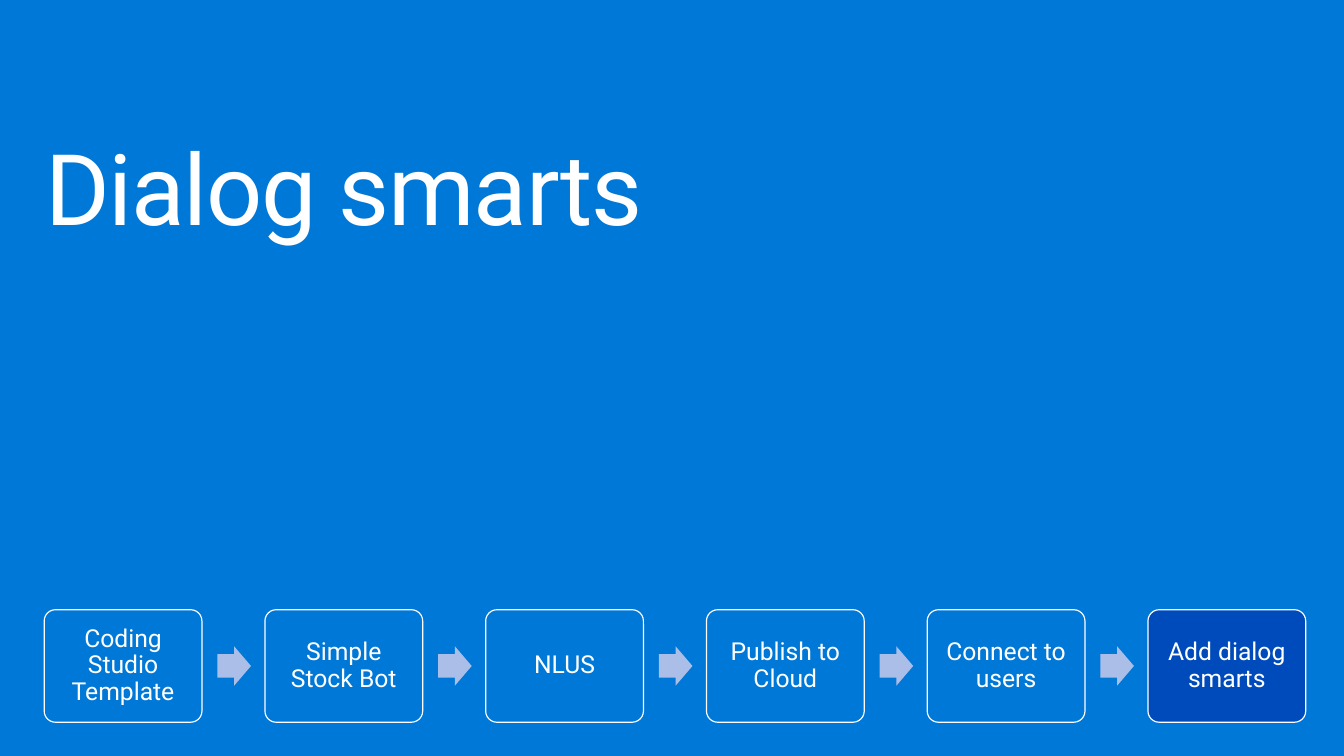
import pptx
import pptx.dml.color
import pptx.enum.shapes
import pptx.enum.text
import pptx.util

Pt = pptx.util.Pt
MSO_SHAPE = pptx.enum.shapes.MSO_SHAPE
PP_ALIGN = pptx.enum.text.PP_ALIGN
MSO_ANCHOR = pptx.enum.text.MSO_ANCHOR

COLORS = {
    "background": "0078D7",
    "current": "004BBC",
    "arrow": "ABBEE8",
    "white": "FFFFFF",
}
FONT = "Roboto"
STEPS = [
    "Coding Studio Template",
    "Simple\nStock Bot",
    "NLUS",
    "Publish to Cloud",
    "Connect to users",
    "Add dialog smarts",
]
STEP_LEFT, STEP_TOP, STEP_PITCH = 32.2, 444.4, 160.9
STEP_WIDTH, STEP_HEIGHT = 115, 82
ARROW_OFFSET, ARROW_WIDTH, ARROW_HEIGHT = 126.3, 24.4, 28.6


def color(name):
    return pptx.dml.color.RGBColor.from_string(COLORS[name])


def write_text(shape, text, size, align, anchor, inset, spacing=None):
    """Fill a shape with one paragraph; inset is (horizontal, vertical)."""
    frame = shape.text_frame
    frame.word_wrap = True
    frame.vertical_anchor = anchor
    frame.margin_left = frame.margin_right = Pt(inset[0])
    frame.margin_top = frame.margin_bottom = Pt(inset[1])
    paragraph = frame.paragraphs[0]
    paragraph.text = text
    paragraph.alignment = align
    paragraph.line_spacing = 0.9
    for run in paragraph.runs:
        run.font.name = FONT
        run.font.size = Pt(size)
        run.font.color.rgb = color("white")
        if spacing is not None:
            run._r.get_or_add_rPr().set("spc", str(spacing * 100))


def add_box(slide, kind, left, top, width, height, adjustments, fill=None, line=None):
    shape = slide.shapes.add_shape(kind, Pt(left), Pt(top), Pt(width), Pt(height))
    shape.shadow.inherit = False
    for index, value in enumerate(adjustments):
        shape.adjustments[index] = value
    if fill:
        shape.fill.solid()
        shape.fill.fore_color.rgb = color(fill)
    else:
        shape.fill.background()
    if line:
        shape.line.color.rgb = color(line)
        shape.line.width = Pt(0.85)
    else:
        shape.line.fill.background()
    return shape


def add_title(slide, text):
    title = slide.shapes.title
    title.left, title.top = Pt(21.6), Pt(95.2)
    title.width, title.height = Pt(890), Pt(93.6)
    write_text(title, text, 72, PP_ALIGN.LEFT, MSO_ANCHOR.TOP, (11.5, 7.2), spacing=-1)


def add_process(slide, steps):
    last = len(steps) - 1
    arrow_top = STEP_TOP + (STEP_HEIGHT - ARROW_HEIGHT) / 2
    for index, step in enumerate(steps):
        left = STEP_LEFT + index * STEP_PITCH
        box = add_box(slide, MSO_SHAPE.ROUNDED_RECTANGLE, left, STEP_TOP,
                      STEP_WIDTH, STEP_HEIGHT, [0.1],
                      fill="current" if index == last else None, line="white")
        write_text(box, step, 18, PP_ALIGN.CENTER, MSO_ANCHOR.MIDDLE, (5, 5))
        if index < last:
            add_box(slide, MSO_SHAPE.RIGHT_ARROW, left + ARROW_OFFSET, arrow_top,
                    ARROW_WIDTH, ARROW_HEIGHT, [0.6, 0.5], fill="arrow")


def main():
    presentation = pptx.Presentation()
    presentation.slide_width, presentation.slide_height = Pt(979.6), Pt(551)
    slide = presentation.slides.add_slide(presentation.slide_layouts[5])
    slide.background.fill.solid()
    slide.background.fill.fore_color.rgb = color("background")
    add_title(slide, "Dialog smarts")
    add_process(slide, STEPS)
    presentation.save("out.pptx")


if __name__ == "__main__":
    main()
